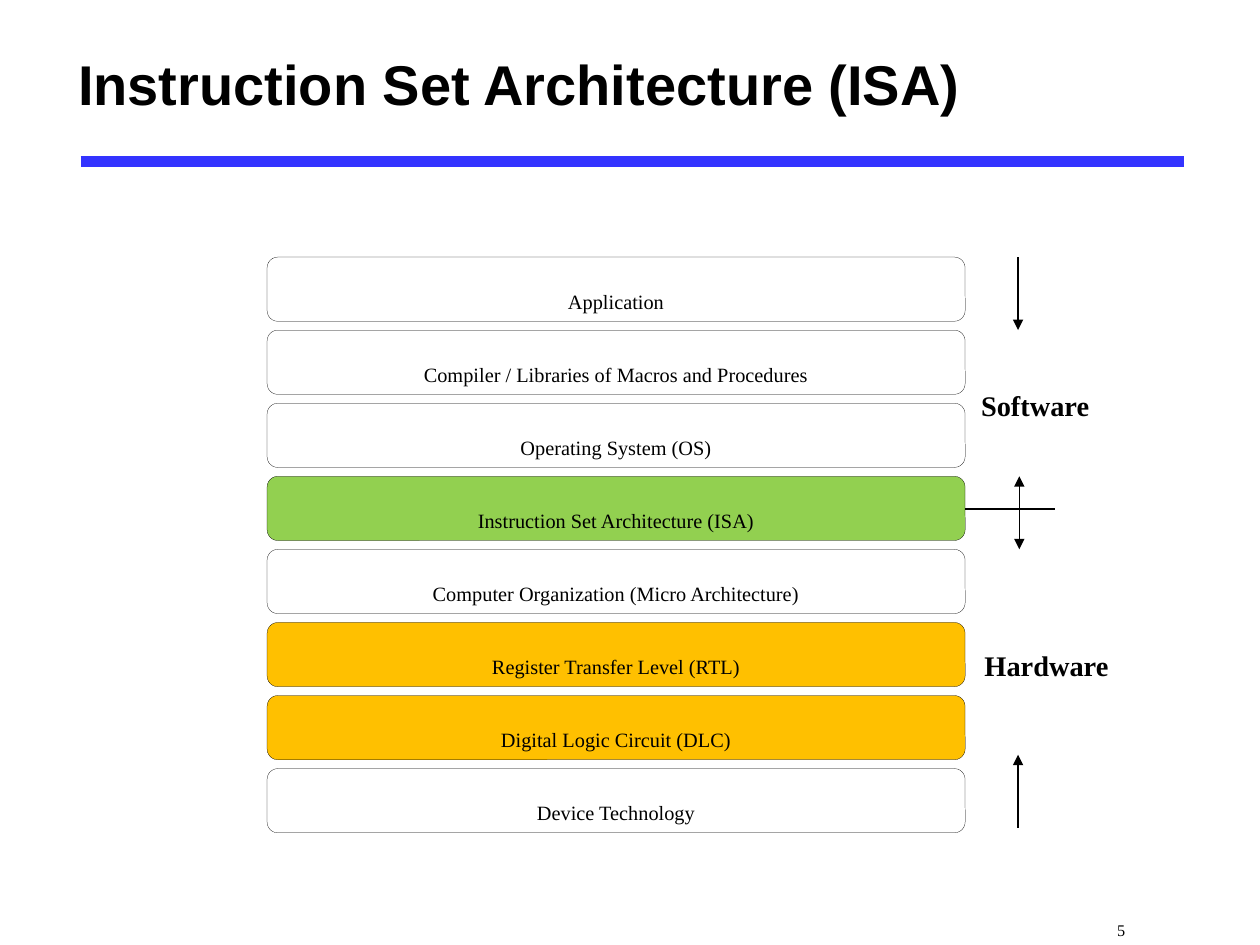
from pptx import Presentation
from pptx.dml.color import RGBColor
from pptx.enum.shapes import MSO_CONNECTOR, MSO_SHAPE
from pptx.enum.text import MSO_ANCHOR, PP_ALIGN
from pptx.oxml.ns import qn
from pptx.util import Inches, Pt
from lxml.etree import SubElement

BLACK = RGBColor(0x00, 0x00, 0x00)
WHITE = RGBColor(0xFF, 0xFF, 0xFF)
BLUE = RGBColor(0x33, 0x33, 0xFF)
GREEN = RGBColor(0x92, 0xD0, 0x50)
AMBER = RGBColor(0xFF, 0xC0, 0x00)
SERIF = "Times New Roman"

# Content
TITLE = "Instruction Set Architecture (ISA)"
PAGE_NUMBER = "5"
LAYERS = [
    ("Application", WHITE),
    ("Compiler / Libraries of Macros and Procedures", WHITE),
    ("Operating System (OS)", WHITE),
    ("Instruction Set Architecture (ISA)", GREEN),
    ("Computer Organization (Micro Architecture)", WHITE),
    ("Register Transfer Level (RTL)", AMBER),
    ("Digital Logic Circuit (DLC)", AMBER),
    ("Device Technology", WHITE),
]
# Text, left, top, width
SIDE_LABELS = [("Software", 7.56, 2.88, 1.31), ("Hardware", 7.56, 4.94, 1.49)]
# x, top, bottom, arrowheads
ARROWS = [
    (8.08, 2.04, 2.62, ["tailEnd"]),
    (8.09, 3.78, 4.36, ["headEnd", "tailEnd"]),
    (8.08, 5.99, 6.57, ["headEnd"]),
]

# Layer stack geometry
STACK_LEFT, STACK_TOP = 2.12, 2.04
LAYER_WIDTH, LAYER_HEIGHT, LAYER_PITCH = 5.54, 0.51, 0.58


def write_text(shape, text, size, alignment=PP_ALIGN.CENTER, bold=False):
    """Fill a shape with one paragraph of lowered serif text."""
    frame = shape.text_frame
    frame.word_wrap = True
    frame.vertical_anchor = MSO_ANCHOR.MIDDLE
    paragraph = frame.paragraphs[0]
    paragraph.text = text
    paragraph.alignment = alignment
    font = paragraph.font
    font.name, font.size, font.bold = SERIF, Pt(size), bold
    font.color.rgb = BLACK
    paragraph.runs[0]._r.get_or_add_rPr().set("baseline", "-25000")
    return paragraph


def add_line(slide, start, end, color=BLACK, width=0.75, heads=()):
    points = [Inches(value) for value in (*start, *end)]
    connector = slide.shapes.add_connector(MSO_CONNECTOR.STRAIGHT, *points)
    connector.line.color.rgb = color
    connector.line.width = Pt(width)
    line = connector.line._get_or_add_ln()
    for head in heads:
        SubElement(line, qn(f"a:{head}"), type="triangle")
    SubElement(connector._element.spPr, qn("a:effectLst"))


def add_layer(slide, index, text, color):
    top = STACK_TOP + index * LAYER_PITCH
    layer = slide.shapes.add_shape(
        MSO_SHAPE.ROUNDED_RECTANGLE, Inches(STACK_LEFT), Inches(top),
        Inches(LAYER_WIDTH), Inches(LAYER_HEIGHT))
    layer.adjustments[0] = 0.167
    layer.shadow.inherit = False
    layer.fill.solid()
    layer.fill.fore_color.rgb = color
    layer.line.color.rgb = BLACK
    layer.line.width = Pt(0.13)
    write_text(layer, text, 20)


def add_title(slide):
    title = slide.shapes.title
    title.left, title.top = Inches(0.52), Inches(0.1)
    title.width, title.height = Inches(8.5), Inches(1.12)
    title.text_frame.vertical_anchor = MSO_ANCHOR.MIDDLE
    paragraph = title.text_frame.paragraphs[0]
    paragraph.text = TITLE
    paragraph.alignment = PP_ALIGN.LEFT
    font = paragraph.font
    font.name, font.size, font.bold = "Arial", Pt(32), True
    font.color.rgb = BLACK


def main():
    presentation = Presentation()
    presentation.slide_width, presentation.slide_height = Inches(10), Inches(7.5)
    slide = presentation.slides.add_slide(presentation.slide_layouts[5])

    # Heading and rule
    add_line(slide, (0.64, 1.28), (9.4, 1.28), BLUE, 6)
    add_title(slide)

    # Page number
    number = slide.shapes.add_textbox(
        Inches(7.9), Inches(7.12), Inches(2.1), Inches(0.38))
    write_text(number, PAGE_NUMBER, 16, PP_ALIGN.RIGHT)
    number.text_frame.margin_right = Inches(1.07)

    # Abstraction layers
    for index, (text, color) in enumerate(LAYERS):
        add_layer(slide, index, text, color)

    # Software and hardware boundary
    add_line(slide, (STACK_LEFT + LAYER_WIDTH, 4.04), (8.37, 4.04))
    for x, top, bottom, heads in ARROWS:
        add_line(slide, (x, top), (x, bottom), heads=heads)
    for text, left, top, width in SIDE_LABELS:
        label = slide.shapes.add_textbox(
            Inches(left), Inches(top), Inches(width), Inches(0.41))
        write_text(label, text, 28, bold=True)

    presentation.save("out.pptx")


if __name__ == "__main__":
    main()
